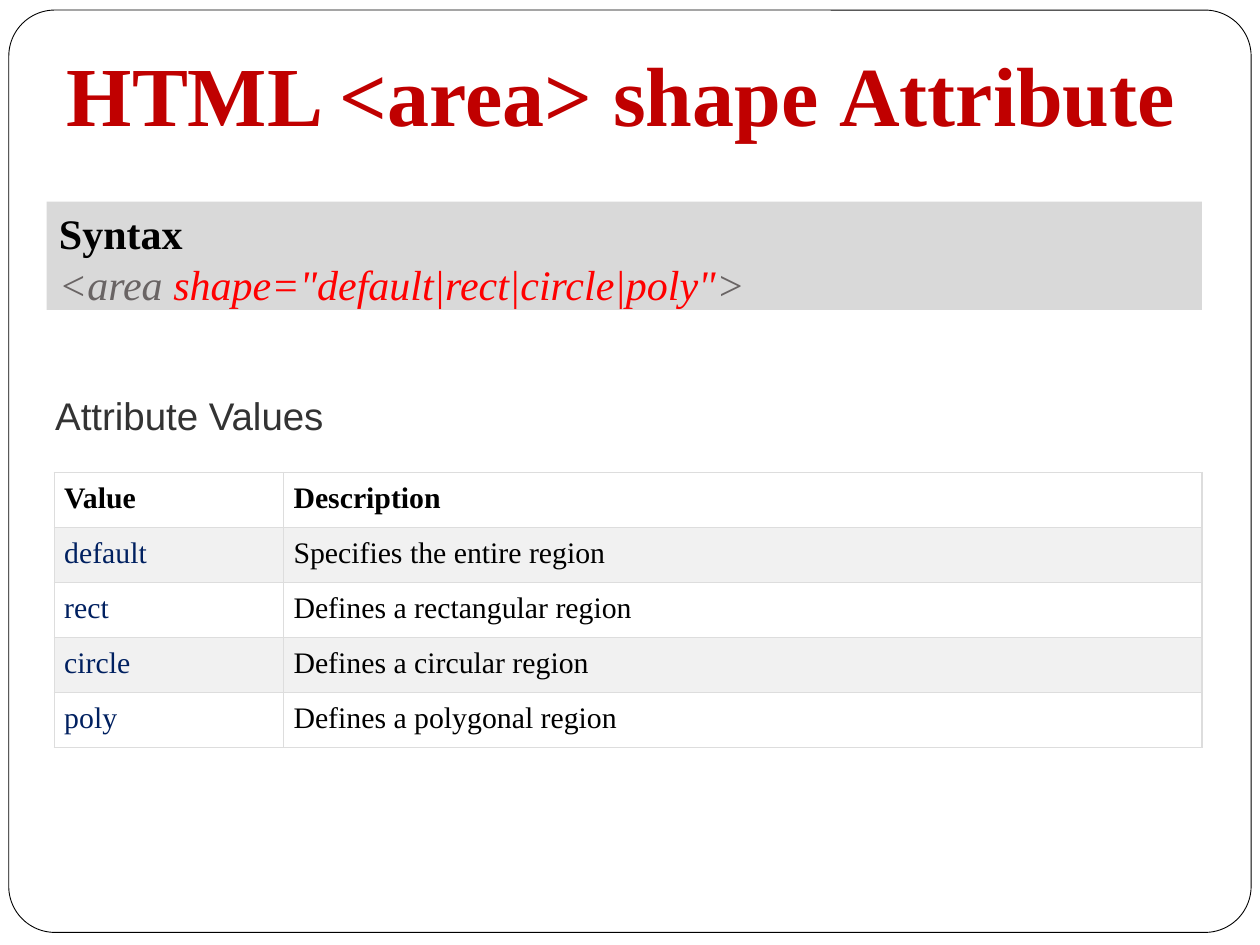
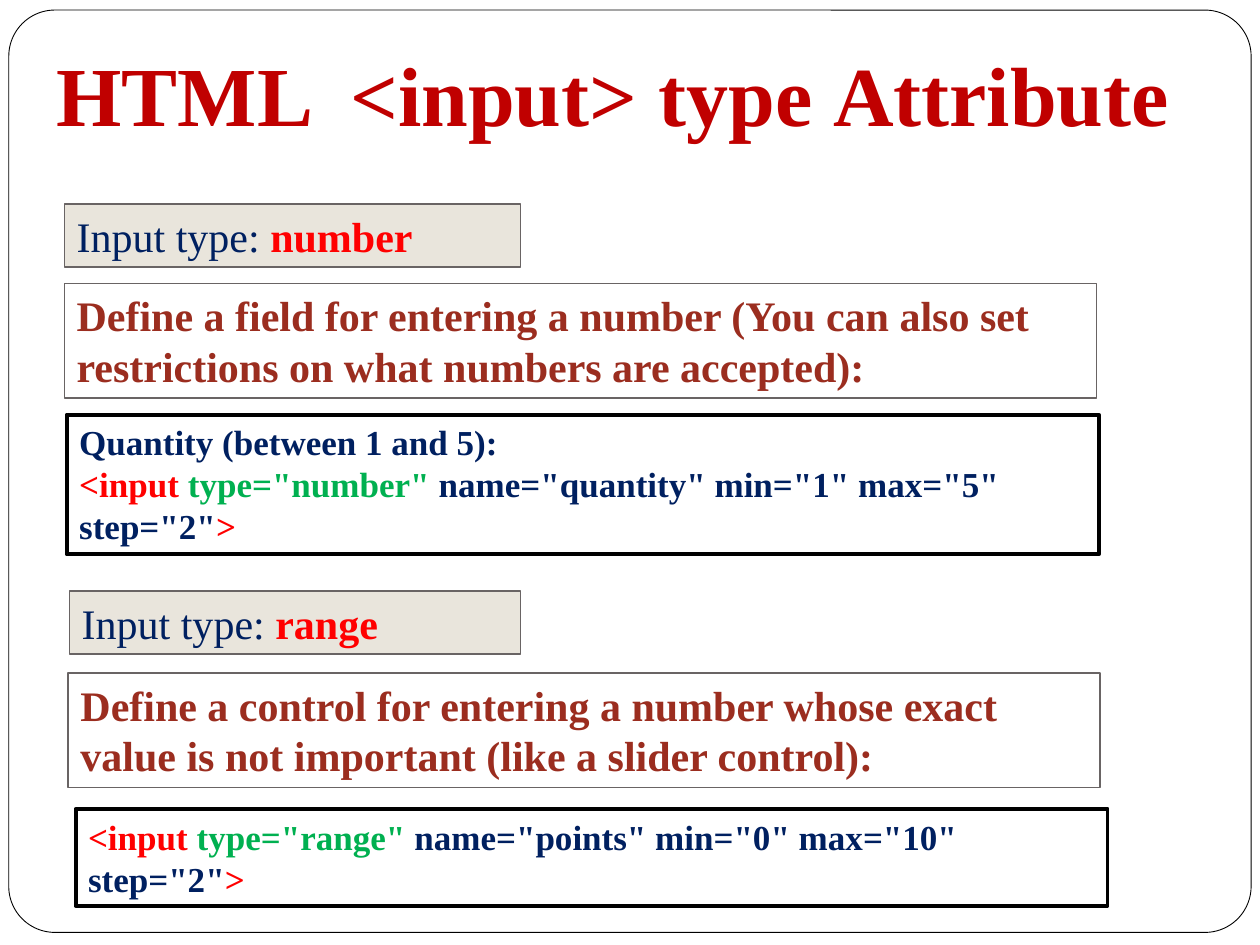
"""Build two slides on the HTML area shape and input type attributes."""
from dataclasses import dataclass

from lxml.etree import SubElement
from pptx import Presentation
from pptx.dml.color import RGBColor as Color
from pptx.enum.shapes import MSO_SHAPE as Shape
from pptx.enum.text import MSO_ANCHOR as Anchor, MSO_AUTO_SIZE as AutoSize, PP_ALIGN as Align
from pptx.oxml import parse_xml
from pptx.oxml.ns import nsdecls, qn
from pptx.util import Inches, Pt


@dataclass(frozen=True)
class Theme:
    serif: str = "Times New Roman"
    sans: str = "Arial"
    title: str = "C00000"
    title_edge: str = "B41A06"
    black: str = "000000"
    white: str = "FFFFFF"
    navy: str = "002060"
    red: str = "FF0000"
    green: str = "00B050"
    brick: str = "9B2D1F"
    grey: str = "696464"
    heading: str = "333333"
    syntax_fill: str = "D9D9D9"
    label_fill: str = "E9E5DC"
    stripe: str = "F1F1F1"
    grid: str = "DDDDDD"
    title_size: float = 48
    body_size: float = 24
    heading_size: float = 22
    code_size: float = 20
    table_size: float = 17


theme = Theme()
hard_space = chr(160)


def add_span(para, text, color, size, bold=False, italic=False, font=theme.serif):
    span = para.add_run()
    span.text = text
    span.font.name = font
    span.font.size = Pt(size)
    span.font.bold = bold
    span.font.italic = italic
    span.font.color.rgb = Color.from_string(color)
    return span


def add_box(page, place, lines, size, fill=None, edge=None, weight=0.75, font=theme.serif):
    box = page.shapes.add_textbox(*map(Inches, place))
    box.text_frame.word_wrap = True
    if fill:
        box.fill.solid()
        box.fill.fore_color.rgb = Color.from_string(fill)
    if edge:
        box.line.color.rgb = Color.from_string(edge)
        box.line.width = Pt(weight)
    for index, spans in enumerate(lines):
        para = box.text_frame.add_paragraph() if index else box.text_frame.paragraphs[0]
        for text, color, *style in spans:
            add_span(para, text, color, size, "bold" in style, "italic" in style, font)
    return box


deck = Presentation()
deck.slide_width, deck.slide_height = Inches(10), Inches(7.5)
layout = deck.slide_layouts.get_by_name("Title Only")

pages = []
for heading, left in ((("HTML <area>", "shape", "Attribute"), 0.43),
                      (("HTML ", "<input>", "type", "Attribute"), 0.35)):
    page = deck.slides.add_slide(layout)
    title = page.shapes.title
    title.left, title.top = Inches(left), Inches(0.28)
    title.width, title.height = Inches(9.64 - left), Inches(0.91)
    title.text_frame.auto_size = AutoSize.NONE
    title.text_frame.word_wrap = True
    para = title.text_frame.paragraphs[0]
    para.alignment = Align.LEFT
    span = add_span(para, hard_space.join(heading), theme.title, theme.title_size, bold=True)
    outline = parse_xml(f'<a:ln {nsdecls("a")} w="{Pt(1.42)}"><a:solidFill>'
                        f'<a:srgbClr val="{theme.title_edge}"/></a:solidFill></a:ln>')
    span.font._element.insert(0, outline)

    frame = page.shapes.add_shape(
        Shape.ROUNDED_RECTANGLE, Inches(0.07), Inches(0.08), Inches(9.86), Inches(7.32))
    frame.adjustments[0] = 0.05
    frame.shadow.inherit = False
    frame.fill.solid()
    frame.fill.fore_color.rgb = Color.from_string(theme.white)
    frame.line.color.rgb = Color.from_string(theme.black)
    frame.line.width = Pt(0.5)
    title._element.addprevious(frame._element)
    pages.append(page)
area_page, input_page = pages

syntax = [
    [("Syntax", theme.black, "bold")],
    [("<area ", theme.grey, "italic"),
     ('shape="default|rect|circle|poly"', theme.red, "italic"),
     (">", theme.grey, "italic")],
]
add_box(area_page, (0.37, 1.6, 9.17, 0.86), syntax, theme.body_size, theme.syntax_fill)

values = (
    ("Value", "Description"),
    ("default", "Specifies the entire region"),
    ("rect", "Defines a rectangular region"),
    ("circle", "Defines a circular region"),
    ("poly", "Defines a polygonal region"),
)
table = area_page.shapes.add_table(
    len(values), 2, Inches(0.43), Inches(3.75), Inches(9.11), Inches(2.18)).table
table.first_row = table.horz_banding = False
table.columns[0].width, table.columns[1].width = Inches(1.82), Inches(7.29)
for row, texts in enumerate(values):
    for column, text in enumerate(texts):
        cell = table.cell(row, column)
        cell.margin_left = cell.margin_right = Inches(0.08)
        cell.margin_top = cell.margin_bottom = Pt(5.5)
        cell.fill.solid()
        cell.fill.fore_color.rgb = Color.from_string(theme.stripe if row % 2 else theme.white)
        color = theme.navy if row and column == 0 else theme.black
        add_span(cell.text_frame.paragraphs[0], text, color, theme.table_size, bold=row == 0)
        properties = cell._tc.get_or_add_tcPr()
        for index, side in enumerate(("lnL", "lnR", "lnT", "lnB")):
            border = properties.makeelement(qn(f"a:{side}"), {"w": str(Pt(0.75))})
            paint = SubElement(border, qn("a:solidFill"))
            SubElement(paint, qn("a:srgbClr"), val=theme.grid)
            properties.insert(index, border)

values_heading = add_box(area_page, (0.34, 2.91, 9.2, 0.67),
                         [[("Attribute Values", theme.heading)]],
                         theme.heading_size, theme.white, font=theme.sans)
values_heading.text_frame.margin_top = Inches(0.2)
values_heading.text_frame.margin_bottom = Inches(0.1)
values_heading.text_frame.vertical_anchor = Anchor.MIDDLE

input_types = (
    ("number", (0.51, 1.62, 3.62, 0.5), (0.51, 2.25, 8.19, 0.91), (0.53, 3.29, 8.19, 1.11),
     "Define a field for entering a number "
     "(You can also set restrictions on what numbers are accepted):",
     "Quantity (between 1 and 5):" + hard_space,
     hard_space.join(('name="quantity"', 'min="1"', 'max="5" step="2"'))),
    ("range", (0.55, 4.69, 3.58, 0.5), (0.54, 5.34, 8.19, 0.91), (0.6, 6.42, 8.19, 0.77),
     "Define a control for entering a number whose exact value "
     "is not important (like a slider control):",
     None,
     hard_space.join(('name="points"', 'min="0"', 'max="10"  step="2"'))),
)
for kind, label_place, purpose_place, code_place, purpose, prompt, attributes in input_types:
    label = [[("Input type: ", theme.navy), (kind, theme.red, "bold")]]
    add_box(input_page, label_place, label, theme.body_size, theme.label_fill, theme.grey)
    add_box(input_page, purpose_place, [[(purpose, theme.brick, "bold")]],
            theme.body_size, edge=theme.grey)
    code = [[("<input" + hard_space, theme.red, "bold"),
             (f'type="{kind}"' + hard_space, theme.green, "bold"),
             (attributes, theme.navy, "bold"),
             (">", theme.red, "bold")]]
    if prompt:
        code.insert(0, [(prompt, theme.navy, "bold")])
    add_box(input_page, code_place, code, theme.code_size, edge=theme.black, weight=2.25)

deck.save("out.pptx")
